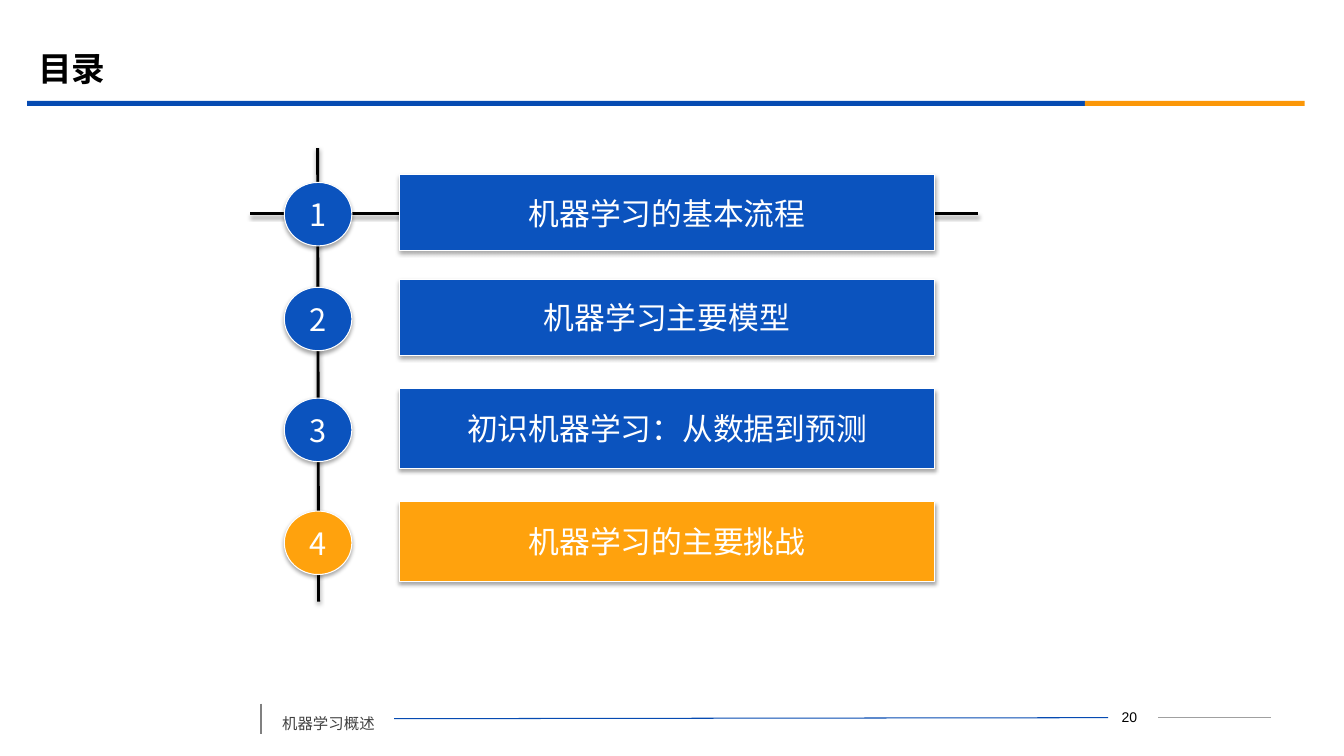
from dataclasses import dataclass

from lxml import etree
from pptx import Presentation
from pptx.dml.color import RGBColor
from pptx.enum import shapes, text
from pptx.oxml.ns import qn
from pptx.util import Inches, Pt


@dataclass(frozen=True)
class Theme:
    black: str = "000000"
    white: str = "FFFFFF"
    blue: str = "0B53BE"
    orange: str = "FFA20D"
    band_blue: str = "064BB2"
    band_orange: str = "FB9708"
    footer_text: str = "404040"
    footer_bar: str = "808080"
    footer_rule: str = "A0A0A0"
    cjk: str = "Noto Sans CJK SC"
    latin: str = "Arial"
    heading: str = "Montserrat"
    title_size: float = 24
    entry_size: float = 22
    footer_size: float = 11
    number_size: float = 10


@dataclass(frozen=True)
class Rule:
    start: tuple[float, float]
    end: tuple[float, float]
    color: str
    width: float
    shadow: bool = False


@dataclass(frozen=True)
class Entry:
    label: str
    middle: float
    height: float
    color: str


THEME = Theme()
CIRCLE_LEFT, CIRCLE_WIDTH, CIRCLE_HEIGHT = 2.82, 0.67, 0.63
BAR_LEFT, BAR_WIDTH = 3.96, 5.31

AXES = [
    Rule((3.15, 1.47), (3.16, 5.97), THEME.black, 2, True),
    Rule((2.48, 2.12), (9.7, 2.12), THEME.black, 2, True),
]
FOOTER_RULES = [
    Rule((11.49, 7.12), (12.61, 7.12), THEME.footer_rule, 0.75),
    Rule((2.59, 6.98), (2.59, 7.28), THEME.footer_bar, 1.25),
    Rule((3.91, 7.13), (10.99, 7.12), THEME.band_blue, 0.75),
]
ENTRIES = [
    Entry("机器学习的基本流程", 2.11, 0.75, THEME.blue),
    Entry("机器学习主要模型", 3.15, 0.75, THEME.blue),
    Entry("初识机器学习：从数据到预测", 4.25, 0.79, THEME.blue),
    Entry("机器学习的主要挑战", 5.37, 0.79, THEME.orange),
]


def rgb(color: str) -> RGBColor:
    return RGBColor.from_string(color)


def add_shadow(effects, opacity: int, distance: float) -> None:
    outer = etree.SubElement(effects, qn("a:outerShdw"), blurRad=str(Pt(3.1)),
                             dist=str(Pt(distance)), dir="5400000", rotWithShape="0")
    tint = etree.SubElement(outer, qn("a:srgbClr"), val=THEME.black)
    etree.SubElement(tint, qn("a:alpha"), val=str(opacity * 1000))


def add_words(paragraph, words: str, font: str, size: float, color: str,
              bold: bool = False) -> None:
    run = paragraph.add_run()
    run.text = words
    run.font.name = font
    run.font.size = Pt(size)
    run.font.bold = bold
    run.font.color.rgb = rgb(color)
    east_asian = etree.Element(qn("a:ea"), typeface=THEME.cjk)
    run.font._element.find(qn("a:latin")).addnext(east_asian)


def add_rule(slide, rule: Rule) -> None:
    line = slide.shapes.add_connector(
        shapes.MSO_CONNECTOR.STRAIGHT,
        *(Inches(value) for value in rule.start + rule.end))
    line.line.color.rgb = rgb(rule.color)
    line.line.width = Pt(rule.width)
    effects = etree.SubElement(line._element.spPr, qn("a:effectLst"))
    if rule.shadow:
        add_shadow(effects, 38, 1.6)


def add_block(slide, kind, left: float, top: float, width: float, height: float,
              color: str):
    block = slide.shapes.add_shape(
        kind, Inches(left), Inches(top), Inches(width), Inches(height))
    block.fill.solid()
    block.fill.fore_color.rgb = rgb(color)
    block.line.fill.background()
    block.shadow.inherit = False
    return block


def add_button(slide, kind, left: float, middle: float, width: float, height: float,
               color: str, words: str) -> None:
    button = add_block(slide, kind, left, middle - height / 2, width, height, color)
    button.line.color.rgb = rgb(THEME.white)
    button.line.width = Pt(0.75)
    add_shadow(button._element.spPr.find(qn("a:effectLst")), 35, 1.8)
    frame = button.text_frame
    frame.word_wrap = False
    frame.vertical_anchor = text.MSO_ANCHOR.MIDDLE
    frame.paragraphs[0].alignment = text.PP_ALIGN.CENTER
    add_words(frame.paragraphs[0], words, THEME.cjk, THEME.entry_size, THEME.white)


def add_entry(slide, number: int, entry: Entry) -> None:
    add_button(slide, shapes.MSO_SHAPE.OVAL, CIRCLE_LEFT, entry.middle + 0.015,
               CIRCLE_WIDTH, CIRCLE_HEIGHT, entry.color, str(number))
    add_button(slide, shapes.MSO_SHAPE.ACTION_BUTTON_CUSTOM, BAR_LEFT, entry.middle,
               BAR_WIDTH, entry.height, entry.color, entry.label)


def add_title(slide) -> None:
    title = slide.shapes.title
    title.left, title.top = Inches(0.28), Inches(0.39)
    title.width, title.height = Inches(12), Inches(0.58)
    title.text_frame.vertical_anchor = text.MSO_ANCHOR.MIDDLE
    heading = title.text_frame.paragraphs[0]
    heading.alignment = text.PP_ALIGN.LEFT
    add_words(heading, "目录", THEME.heading, THEME.title_size, THEME.black, bold=True)


def add_footer(slide) -> None:
    for rule in FOOTER_RULES:
        add_rule(slide, rule)

    course = slide.shapes.add_textbox(Inches(2.7), Inches(6.94), Inches(1.21), Inches(0.38))
    course.text_frame.word_wrap = True
    course_line = course.text_frame.paragraphs[0]
    course_line.line_spacing = 1.5
    add_words(course_line, "机器学习概述", THEME.cjk, THEME.footer_size, THEME.footer_text)

    page = slide.shapes.add_textbox(Inches(10.89), Inches(6.99), Inches(0.62), Inches(0.25))
    page.text_frame.word_wrap = True
    page.text_frame.vertical_anchor = text.MSO_ANCHOR.MIDDLE
    page_line = page.text_frame.paragraphs[0]
    page_line.alignment = text.PP_ALIGN.CENTER
    add_words(page_line, "20", THEME.latin, THEME.number_size, THEME.black)


def main() -> None:
    deck = Presentation()
    deck.slide_width, deck.slide_height = Inches(13.33), Inches(7.5)
    slide = deck.slides.add_slide(deck.slide_layouts.get_by_name("Title Only"))

    # Title and the two-colour band below it
    add_title(slide)
    add_block(slide, shapes.MSO_SHAPE.RECTANGLE, 0.27, 1, 10.49, 0.05, THEME.band_blue)
    add_block(slide, shapes.MSO_SHAPE.RECTANGLE, 10.76, 1, 2.18, 0.05, THEME.band_orange)

    # Footer
    add_footer(slide)

    # Contents: axes behind, numbered entries in front
    for axis in AXES:
        add_rule(slide, axis)
    for number, entry in enumerate(ENTRIES, start=1):
        add_entry(slide, number, entry)

    deck.save("out.pptx")


if __name__ == "__main__":
    main()
